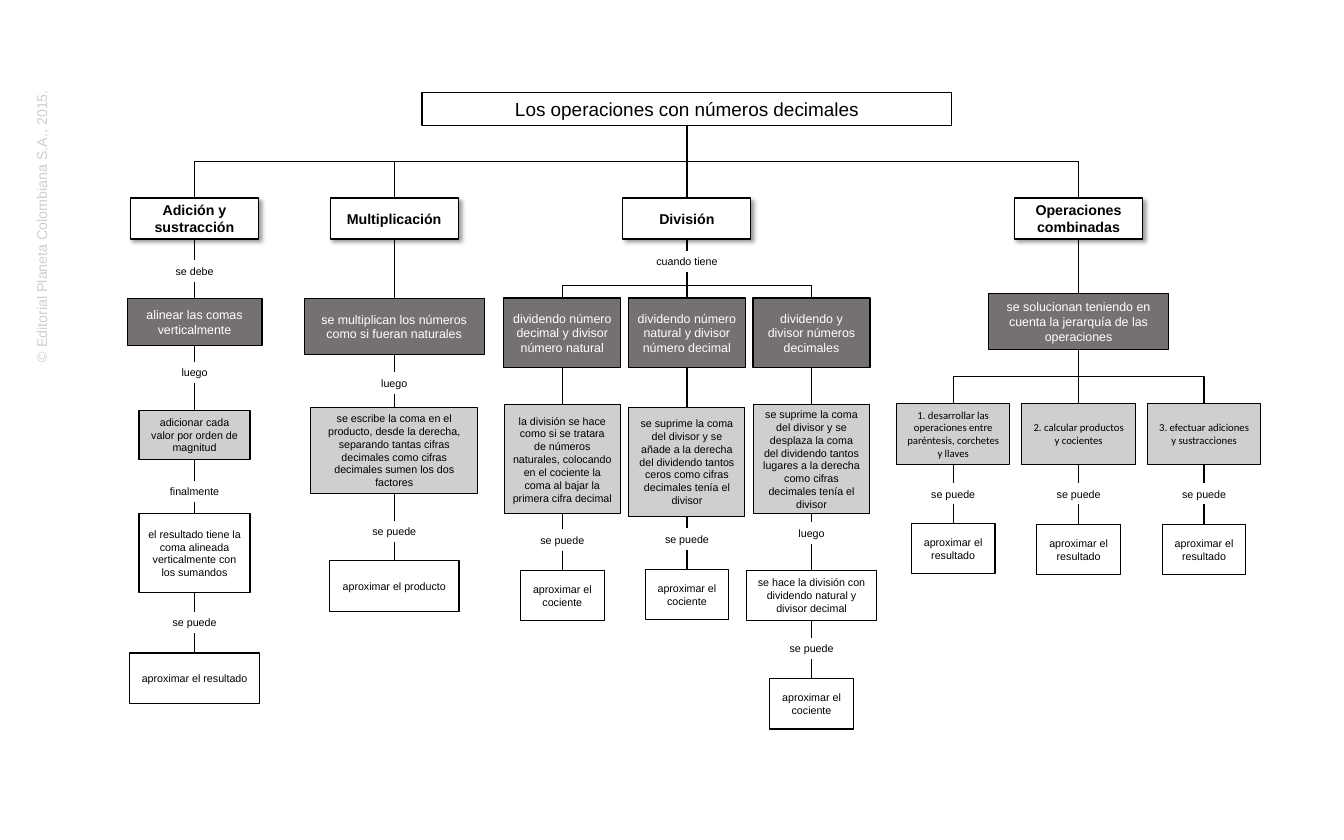
from lxml import etree
from pptx import Presentation
from pptx import util as u
from pptx.dml.color import RGBColor
from pptx.enum import shapes, text
from pptx.oxml.ns import qn

BLACK = RGBColor(0x00, 0x00, 0x00)
WHITE = RGBColor(0xFF, 0xFF, 0xFF)
DARK = RGBColor(0x76, 0x71, 0x71)
PALE = RGBColor(0xD0, 0xCE, 0xCE)

# Styles: fill, ink, size, font, bold, usual width and height in px
STYLES = {
    "title": (WHITE, BLACK, 16, "Arial", False, 621, 39),
    "head": (WHITE, BLACK, 12, "Arial", True, 150, 48),
    "dark": (DARK, WHITE, 10.5, "Arial", False, 137, 82),
    "pale": (PALE, BLACK, 9, "Arial", False, 136, 128),
    "step": (PALE, BLACK, 9, "Calibri", False, 133, 71),
    "end": (WHITE, BLACK, 9, "Arial", False, 98, 59),
    "label": (None, BLACK, 9, "Arial", False, 85, 25),
}
CREDIT = "© Editorial Planeta Colombiana S.A., 2015."

# Trees: centre x, chain of (style, words, top[, width, height]), branches
ADD = (228, [
    ("head", "Adición y sustracción", 232),
    ("label", "se debe", 305),
    ("dark", "alinear las comas verticalmente", 350, 158, 55),
    ("label", "luego", 424),
    ("pale", "adicionar cada valor por orden de magnitud", 481, 130, 57),
    ("label", "finalmente", 563),
    ("end", "el resultado tiene la coma alineada verticalmente con los sumandos",
     602, 130, 92),
    ("label", "se puede", 717),
    ("end", "aproximar el resultado", 765, 152, 59),
], [])
TIMES = (462, [
    ("head", "Multiplicación", 232),
    ("dark", "se multiplican los números como si fueran naturales", 350, 211, 65),
    ("label", "luego", 436),
    ("pale", "se escribe la coma en el producto, desde la derecha, separando "
     "tantas cifras decimales como cifras decimales sumen los dos factores",
     477, 196, 101),
    ("label", "se puede", 610),
    ("end", "aproximar el producto", 657, 152, 59),
], [])
SPLIT = (805, [
    ("head", "División", 232),
    ("label", "cuando tiene", 294, 98, 25),
], [
    (659, [
        ("dark", "dividendo número decimal y divisor número natural", 349),
        ("pale", "la división se hace como si se tratara de números naturales, "
         "colocando en el cociente la coma al bajar la primera cifra decimal", 474),
        ("label", "se puede", 620),
        ("end", "aproximar el cociente", 668),
    ], []),
    (805, [
        ("dark", "dividendo número natural y divisor número decimal", 349),
        ("pale", "se suprime la coma del divisor y se añade a la derecha del "
         "dividendo tantos ceros como cifras decimales tenía el divisor", 477),
        ("label", "se puede", 619),
        ("end", "aproximar el cociente", 667),
    ], []),
    (951, [
        ("dark", "dividendo y divisor números decimales", 349),
        ("pale", "se suprime la coma del divisor y se desplaza la coma del dividendo "
         "tantos lugares a la derecha como cifras decimales tenía el divisor", 474),
        ("label", "luego", 612),
        ("end", "se hace la división con dividendo natural y divisor decimal",
         668, 152, 59),
        ("label", "se puede", 747),
        ("end", "aproximar el cociente", 795),
    ], []),
])
STEPS = [
    "1. desarrollar las operaciones entre paréntesis, corchetes y llaves",
    "2. calcular productos y cocientes",
    "3. efectuar adiciones y sustracciones",
]
MIXED = (1264, [
    ("head", "Operaciones combinadas", 232),
    ("dark", "se solucionan teniendo en cuenta la jerarquía de las operaciones",
     344, 211, 65),
], [
    (1117 + 147 * i, [
        ("step", words, 473),
        ("label", "se puede", 566),
        ("end", "aproximar el resultado", 613 if i == 0 else 614),
    ], []) for i, words in enumerate(STEPS)
])
MAP = (805, [("title", "Los operaciones con números decimales", 108)],
       [ADD, TIMES, SPLIT, MIXED])


def px(n):
    return u.Emu(round(n * 9144))


deck = Presentation()
deck.slide_width, deck.slide_height = px(1575), px(984)
slide = deck.slides.add_slide(deck.slide_layouts[5])


def write(box, words, size, font, ink, bold=False):
    frame = box.text_frame
    frame.text = words
    frame.word_wrap = True
    frame.auto_size = text.MSO_AUTO_SIZE.NONE
    para = frame.paragraphs[0]
    para.alignment = text.PP_ALIGN.CENTER
    face = para.runs[0].font
    face.size, face.name, face.bold = u.Pt(size), font, bold
    face.color.rgb = ink


def shade(box):
    glow = etree.SubElement(box._element.spPr.find(qn("a:effectLst")), qn("a:outerShdw"),
                            blurRad="50800", dist="38100", dir="2700000",
                            algn="tl", rotWithShape="0")
    tint = etree.SubElement(glow, qn("a:prstClr"), val="black")
    etree.SubElement(tint, qn("a:alpha"), val="40000")


def node(mid, style, words, top, wide=None, high=None):
    """Draw one box and return its bottom edge."""
    fill, ink, size, font, bold, w, h = STYLES[style]
    w, h = wide or w, high or h
    area = px(mid - w / 2), px(top), px(w), px(h)
    if style == "title":
        box = slide.shapes.title
        box.left, box.top, box.width, box.height = area
    elif style == "label":
        box = slide.shapes.add_textbox(*area)
    else:
        box = slide.shapes.add_shape(shapes.MSO_SHAPE.RECTANGLE, *area)
        box.shadow.inherit = False
    write(box, words, size, font, ink, bold)
    if fill is not None:
        box.fill.solid()
        box.fill.fore_color.rgb = fill
        box.line.color.rgb = BLACK
        box.line.width = u.Pt(1)
        box.text_frame.vertical_anchor = text.MSO_ANCHOR.MIDDLE
    if style == "head":
        shade(box)
    return top + h


def link(x1, y1, x2, y2):
    """Join two points: straight down, or down, across and down."""
    kind, ends = shapes.MSO_CONNECTOR.STRAIGHT, (x1, y1, x2, y2)
    if x1 != x2:
        # The elbow lies on its side, then turns about its middle
        kind = shapes.MSO_CONNECTOR.ELBOW
        cx, cy = (x1 + x2) / 2, (y1 + y2) / 2
        dx, dy = abs(x2 - x1) / 2, (y2 - y1) / 2
        side = 1 if x2 < x1 else -1
        ends = cx - side * dy, cy - dx, cx + side * dy, cy + dx
    line = slide.shapes.add_connector(kind, *map(px, ends))
    if x1 != x2:
        line._element.spPr.xfrm.set("rot", "5400000" if x2 < x1 else "16200000")
    line.line.color.rgb = BLACK
    line.line.width = u.Pt(1)
    etree.SubElement(line._element.spPr, qn("a:effectLst"))


def draw(tree, start=None):
    mid, chain, kids = tree
    for item in chain:
        if start:
            link(*start, mid, item[2])
        start = mid, node(mid, *item)
    for kid in kids:
        draw(kid, start)


# Concept map
draw(MAP)

# Copyright line up the left edge
side = slide.shapes.add_textbox(px(-122), px(250), px(341), px(30))
side.rotation = 270
write(side, CREDIT, 12, "Arial", PALE)
side.text_frame.word_wrap = False

deck.save("out.pptx")
